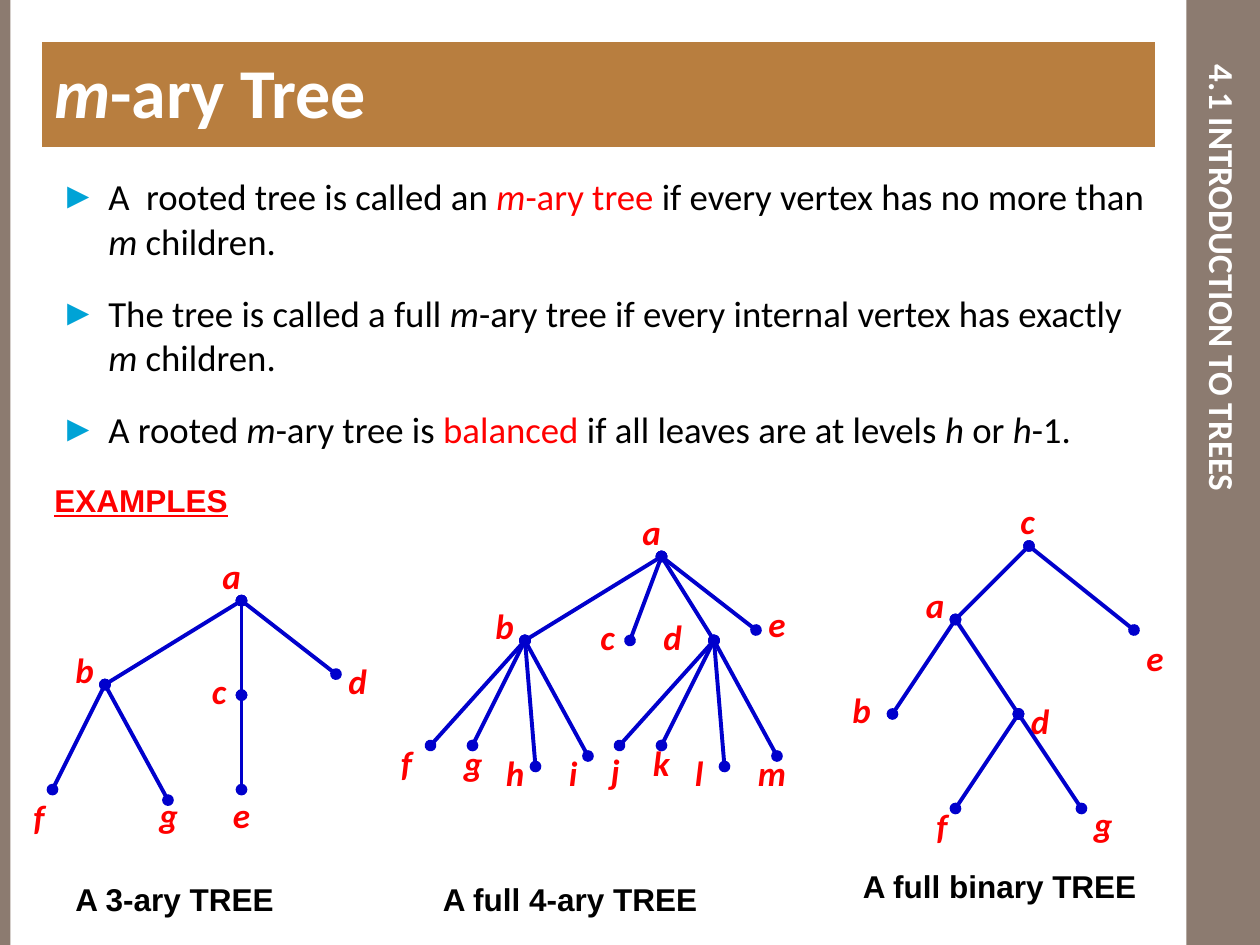
from dataclasses import dataclass
from typing import NamedTuple

from lxml import etree
from pptx import Presentation
from pptx import util as u
from pptx.dml.color import RGBColor
from pptx.enum import shapes, text
from pptx.oxml import ns

WHITE = RGBColor(0xFF, 0xFF, 0xFF)
BLACK = RGBColor(0x00, 0x00, 0x00)
RED = RGBColor(0xFF, 0x00, 0x00)
BLUE = RGBColor(0x00, 0x00, 0xCC)
TAUPE = RGBColor(0x8C, 0x7B, 0x70)
OCHRE = RGBColor(0xB8, 0x7E, 0x3F)
BULLET = "00A3D6"
GRID = 2.54 / 12


class Span(NamedTuple):
    text: str
    italic: bool = False
    color: RGBColor = BLACK


class Vertex(NamedTuple):
    name: str
    parent: str
    x: float
    y: float
    label_x: float
    label_y: float


@dataclass
class Tree:
    root_x: float
    root_y: float
    vertices: list[Vertex]


class Caption(NamedTuple):
    text: str
    x: float
    y: float
    width: float
    color: RGBColor = BLACK
    underline: bool = False


STATEMENTS = [
    [Span("A  rooted tree is called an "), Span("m", True, RED), Span("-ary tree", False, RED),
     Span(" if every vertex has no more than "), Span("m ", True), Span("children.")],
    [Span("The tree is called a full "), Span("m", True),
     Span("-ary tree if every internal vertex has exactly "), Span("m", True), Span(" children.")],
    [Span("A rooted "), Span("m", True), Span("-ary tree is "), Span("balanced ", False, RED),
     Span("if all leaves are at levels "), Span("h", True), Span(" or "), Span("h", True),
     Span("-1.")],
]

TREES = [
    Tree(23, 57.2, [
        Vertex("a", "", 0, 0, -3, -5),
        Vertex("b", "a", -13, 8, -4, -4),
        Vertex("c", "a", 0, 9, -4, -3),
        Vertex("d", "a", 9, 7, 0, -2),
        Vertex("e", "c", 0, 18, -2, -0.2),
        Vertex("f", "b", -18, 18, -3, 0),
        Vertex("g", "b", -7, 19, -2, -1.2),
    ]),
    Tree(63, 53, [
        Vertex("a", "", 0, 0, -3, -5),
        Vertex("b", "a", -13, 8, -4, -4),
        Vertex("c", "a", -3, 8, -4, -3),
        Vertex("d", "a", 5, 8, -6, -3),
        Vertex("e", "a", 9, 7, 0, -3.2),
        Vertex("f", "b", -22, 18, -4, -1),
        Vertex("g", "b", -18, 18, -2, -1),
        Vertex("h", "b", -12, 20, -4, -2),
        Vertex("i", "b", -7, 19, -3, -1),
        Vertex("j", "d", -4, 18, -2, -0.2),
        Vertex("k", "d", 0, 18, -2, -1),
        Vertex("l", "d", 6, 20, -4, -2),
        Vertex("m", "d", 11, 19, -3, -1),
    ]),
    Tree(98, 52, [
        Vertex("c", "", 0, 0, -2, -5),
        Vertex("a", "c", -7, 7, -4, -4),
        Vertex("e", "c", 10, 8, 0, 0),
        Vertex("b", "a", -13, 16, -5, -3),
        Vertex("d", "a", -1, 16, 0, -2),
        Vertex("f", "d", -7, 25, -3, -1),
        Vertex("g", "d", 5, 25, 0, -1.2),
    ]),
]

CAPTIONS = [
    Caption("EXAMPLES", 4, 45.2, 20, RED, True),
    Caption("A 3-ary TREE", 6, 83.2, 23),
    Caption("A full 4-ary TREE", 41, 83.2, 32),
    Caption("A full binary TREE", 81, 82, 32),
]


def grid(*steps: float) -> list[u.Length]:
    return [u.Cm(step * GRID) for step in steps]


def set_font(para, name: str, size: float, color: RGBColor, bold: bool = True) -> None:
    para.font.name = name
    para.font.size = u.Pt(size)
    para.font.bold = bold
    para.font.color.rgb = color


def add_bar(page, x: float, y: float, width: float, height: float, color: RGBColor):
    bar = page.shapes.add_shape(shapes.MSO_SHAPE.RECTANGLE, *grid(x, y, width, height))
    bar.shadow.inherit = False
    bar.fill.solid()
    bar.fill.fore_color.rgb = color
    bar.line.fill.background()
    return bar


def add_text(page, words: str, x: float, y: float, width: float, height: float):
    box = page.shapes.add_textbox(*grid(x, y, width, height))
    box.text_frame.word_wrap = True
    box.text_frame.auto_size = text.MSO_AUTO_SIZE.SHAPE_TO_FIT_TEXT
    para = box.text_frame.paragraphs[0]
    para.text = words
    return para


def add_spans(para, spans: list[Span]) -> None:
    for part in spans:
        span = para.add_run()
        span.text = part.text
        span.font.italic = part.italic
        span.font.color.rgb = part.color


def add_bullet(para) -> None:
    props = para._p.get_or_add_pPr()
    props.set("marL", str(u.Cm(1.3)))
    props.set("indent", str(u.Cm(-0.97)))
    color = etree.SubElement(props, ns.qn("a:buClr"))
    etree.SubElement(color, ns.qn("a:srgbClr"), val=BULLET)
    etree.SubElement(props, ns.qn("a:buFont"), typeface="Arial")
    etree.SubElement(props, ns.qn("a:buChar"), char="►")


def add_edge(page, start: tuple[float, float], end: tuple[float, float]) -> None:
    edge = page.shapes.add_connector(shapes.MSO_CONNECTOR.STRAIGHT, *grid(*start, *end))
    edge.line.color.rgb = BLUE
    edge.line.width = u.Pt(2.25)
    line = edge.line._get_or_add_ln()
    for tag in ("a:headEnd", "a:tailEnd"):
        etree.SubElement(line, ns.qn(tag), type="oval")
    etree.SubElement(edge._element.spPr, ns.qn("a:effectLst"))


def add_tree(page, tree: Tree) -> None:
    places = {v.name: (tree.root_x + v.x, tree.root_y + v.y) for v in tree.vertices}
    for vertex in tree.vertices:
        x, y = places[vertex.name]
        if vertex.parent:
            add_edge(page, (x, y), places[vertex.parent])
        para = add_text(page, vertex.name, x + vertex.label_x, y + vertex.label_y, 4, 5.25)
        set_font(para, "Calibri", 20, RED)
        para.font.italic = True


def add_statements(page) -> None:
    box = page.shapes.add_textbox(*grid(3, 16, 108, 28))
    box.text_frame.word_wrap = True
    for index, spans in enumerate(STATEMENTS):
        para = box.text_frame.add_paragraph() if index else box.text_frame.paragraphs[0]
        if index:
            para.space_before = u.Pt(16)
        add_bullet(para)
        set_font(para, "Calibri", 21, BLACK, False)
        add_spans(para, spans)


def add_heading(page) -> None:
    bar = add_bar(page, 4, 4, 106, 10, OCHRE)
    bar.text_frame.vertical_anchor = text.MSO_ANCHOR.TOP
    para = bar.text_frame.paragraphs[0]
    para.alignment = text.PP_ALIGN.LEFT
    set_font(para, "Calibri", 40, WHITE)
    add_spans(para, [Span("m", True, WHITE), Span("-ary Tree", False, WHITE)])


def place_title(title) -> None:
    title.left, title.top, title.width, title.height = grid(113, 5, 7, 77)
    frame = title.text_frame
    frame.text = "4.1 INTRODUCTION TO TREES"
    frame.auto_size = text.MSO_AUTO_SIZE.NONE
    frame.vertical_anchor = text.MSO_ANCHOR.MIDDLE
    frame.margin_left = frame.margin_right = u.Cm(0.13)
    frame.margin_top = frame.margin_bottom = u.Cm(0.25)
    frame._txBody.bodyPr.set("vert", "eaVert")
    frame.paragraphs[0].alignment = text.PP_ALIGN.CENTER
    set_font(frame.paragraphs[0], "Calibri", 20, WHITE)


def main() -> None:
    deck = Presentation()
    deck.slide_width, deck.slide_height = grid(120, 90)
    page = deck.slides.add_slide(deck.slide_layouts[5])
    title = page.shapes.title
    place_title(title)
    for x, width in ((113, 7), (0, 1)):
        title._element.addprevious(add_bar(page, x, 0, width, 90, TAUPE)._element)
    add_statements(page)
    add_heading(page)
    for tree in TREES:
        add_tree(page, tree)
    for caption in CAPTIONS:
        para = add_text(page, caption.text, caption.x, caption.y, caption.width, 4.8)
        set_font(para, "Arial", 18, caption.color)
        para.font.underline = caption.underline
    deck.save("out.pptx")


if __name__ == "__main__":
    main()
